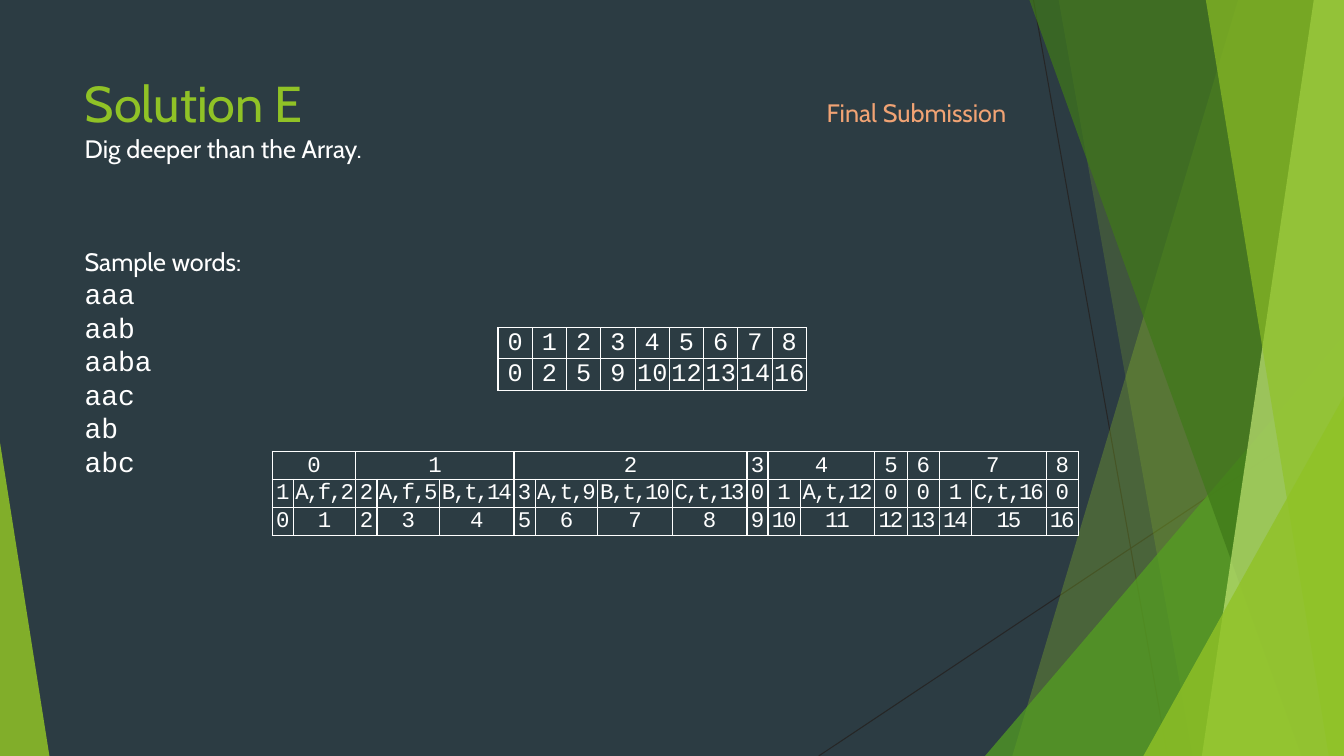
from itertools import accumulate, chain

from lxml import etree
from pptx import Presentation
from pptx import util as u
from pptx.dml import color
from pptx.enum import shapes, text
from pptx.oxml import ns

WIDTH, HEIGHT = 13.33, 7.5
GREEN, WHITE = "90C226", "FFFFFF"
SANS, MONO = "Cabin", "Courier New"

# Trie nodes: edge count, then its edges (letter, ends a word, target cell)
NODES = [
    ["1", "A,f,2"],
    ["2", "A,f,5", "B,t,14"],
    ["3", "A,t,9", "B,t,10", "C,t,13"],
    ["0"],
    ["1", "A,t,12"],
    ["0"],
    ["0"],
    ["1", "C,t,16"],
    ["0"],
]
STARTS = [0, *accumulate(len(node) for node in NODES)][:-1]
SAMPLE_WORDS = ["aaa", "aab", "aaba", "aac", "ab", "abc"]
WIDTH_BY_LENGTH = {1: 0.21, 2: 0.32, 5: 0.62, 6: 0.74}


def rgb(value):
    return color.RGBColor.from_string(value)


def inches(*values):
    return [u.Inches(value) for value in values]


def add_xml(parent, tag, **attributes):
    return etree.SubElement(parent, ns.qn(tag), attributes)


def write(para, words, size=18, font=SANS, ink=WHITE, spacing=None):
    span = para.add_run()
    span.text = words
    span.font.size = u.Pt(size)
    span.font.name = font
    span.font.color.rgb = rgb(ink)
    if spacing is not None:
        span.font._element.set("spc", str(round(spacing * 100)))


def paint(shape, fill, opacity):
    shape.shadow.inherit = False
    shape.line.fill.background()
    shape.fill.solid()
    shape.fill.fore_color.rgb = rgb(fill)
    tint = shape._element.spPr.find(ns.qn("a:solidFill"))[0]
    add_xml(tint, "a:alpha", val=str(opacity * 1000))


# Decorative facets
def add_line(page, start, end):
    line = page.shapes.add_connector(
        shapes.MSO_CONNECTOR.STRAIGHT, *inches(*start, *end))
    line.line.color.rgb = rgb("262626")
    line.line.width = u.Pt(0.75)
    add_xml(line._element.spPr, "a:effectLst")


def add_band(page, top_left, bottom_left, right, bottom, fill, opacity):
    start, *others = [inches(*point) for point in (
        (top_left, 0), (right, 0), (right, bottom), (bottom_left, bottom))]
    outline = page.shapes.build_freeform(*start)
    outline.add_line_segments(others, close=True)
    paint(outline.convert_to_shape(), fill, opacity)


def add_corner(page, left, top, right, bottom, apex, fill, opacity):
    corner = page.shapes.add_shape(
        shapes.MSO_SHAPE.ISOSCELES_TRIANGLE,
        *inches(left, top, right - left, bottom - top))
    corner.adjustments[0] = apex
    paint(corner, fill, opacity)


def add_facets(page, right, bottom):
    add_line(page, (10.25, 0), (11.58, bottom))
    add_line(page, (right, 4.03), (8.12, bottom))
    add_band(page, 12.28, 10.04, right, bottom, GREEN, 30)
    add_band(page, 10.5, 11.83, right, bottom, GREEN, 20)
    add_corner(page, 9.77, 3.33, right, bottom, 1, "54A021", 72)
    add_band(page, 10.21, 12.91, right, bottom, "3F7819", 70)
    add_band(page, 13.03, 11.92, right, bottom, "C0E474", 70)
    add_band(page, 11.96, 13.18, right, bottom, GREEN, 65)
    add_corner(page, 11.34, 3.93, right, bottom, 1, GREEN, 80)
    add_corner(page, 0, 4.39, 0.49, bottom, 0, GREEN, 85)


# Title with a right-aligned tag and a subtitle line
def fill_title(page, left, top, width, height):
    title = page.shapes.title
    title.left, title.top, title.width, title.height = inches(
        left, top, width, height)
    frame = title.text_frame
    frame.auto_size = text.MSO_AUTO_SIZE.NONE
    frame.vertical_anchor = text.MSO_ANCHOR.TOP
    frame.word_wrap = True
    para = frame.paragraphs[0]
    para.alignment = text.PP_ALIGN.LEFT
    tabs = add_xml(para._p.get_or_add_pPr(), "a:tabLst")
    add_xml(tabs, "a:tab", pos=str(u.Inches(9.14)), algn="r")
    write(para, "Solution E\t", size=36, ink=GREEN)
    write(para, "Final Submission", ink="F1A374")
    para.add_line_break()
    write(para, "Dig deeper than the Array.")


# Word list
def add_words(page, left, top, width, height):
    box = page.shapes.add_textbox(*inches(left, top, width, height))
    frame = box.text_frame
    frame.word_wrap = True
    write(frame.paragraphs[0], "Sample words:")
    for word in SAMPLE_WORDS:
        write(frame.add_paragraph(), word, size=20, font=MONO)
    for para in frame.paragraphs:
        para.line_spacing = u.Pt(24)


# Tables
def format_cell(cell):
    cell.margin_left = cell.margin_right = cell.margin_top = u.Inches(0.01)
    cell.margin_bottom = 0
    cell.vertical_anchor = text.MSO_ANCHOR.MIDDLE
    properties = cell._tc.get_or_add_tcPr()
    for side in "LRTB":
        border = add_xml(properties, f"a:ln{side}", w=str(u.Pt(1)))
        add_xml(add_xml(border, "a:solidFill"), "a:srgbClr", val=WHITE)
    cell.fill.background()


def add_grid(page, left, top, widths, row_height, rows, **style):
    """Draw rows of labels; None marks a cell covered by a merge."""
    frame = page.shapes.add_table(
        len(rows), len(widths),
        *inches(left, top, sum(widths), row_height * len(rows)))
    grid = frame.table
    grid.first_row = grid.horz_banding = False
    for column, width in zip(grid.columns, widths):
        column.width = u.Inches(width)
    for row, labels in zip(grid.rows, rows):
        row.height = u.Inches(row_height)
        for cell, label in zip(row.cells, labels):
            format_cell(cell)
            para = cell.text_frame.paragraphs[0]
            para.alignment = text.PP_ALIGN.CENTER
            if label is None:
                para.font.size = u.Pt(style["size"])
            else:
                write(para, str(label), font=MONO, **style)
    return grid


def add_start_table(page, left, top):
    add_grid(page, left, top, [0.34] * len(NODES), 0.3,
             [range(len(NODES)), STARTS], size=18)


def add_node_table(page, left, top):
    values = list(chain.from_iterable(NODES))
    owners = [None] * len(values)
    for number, start in enumerate(STARTS):
        owners[start] = number
    widths = [WIDTH_BY_LENGTH[max(len(value), len(str(index)))]
              for index, value in enumerate(values)]
    grid = add_grid(page, left, top, widths, 0.26,
                    [owners, values, range(len(values))],
                    size=16, spacing=-1.5)
    for start, node in zip(STARTS, NODES):
        if len(node) > 1:
            grid.cell(0, start).merge(grid.cell(0, start + len(node) - 1))


def add_solution_page(deck):
    page = deck.slides.add_slide(deck.slide_layouts[5])
    page.background.fill.solid()
    page.background.fill.fore_color.rgb = rgb("2C3C43")
    add_facets(page, WIDTH, HEIGHT)
    fill_title(page, 0.74, 0.67, 9.4, 1.44)
    add_words(page, 0.74, 2.36, 1.96, 4.24)
    add_start_table(page, 4.94, 3.25)
    add_node_table(page, 2.7, 4.48)


deck = Presentation()
deck.slide_width, deck.slide_height = inches(WIDTH, HEIGHT)
add_solution_page(deck)
deck.save("out.pptx")
